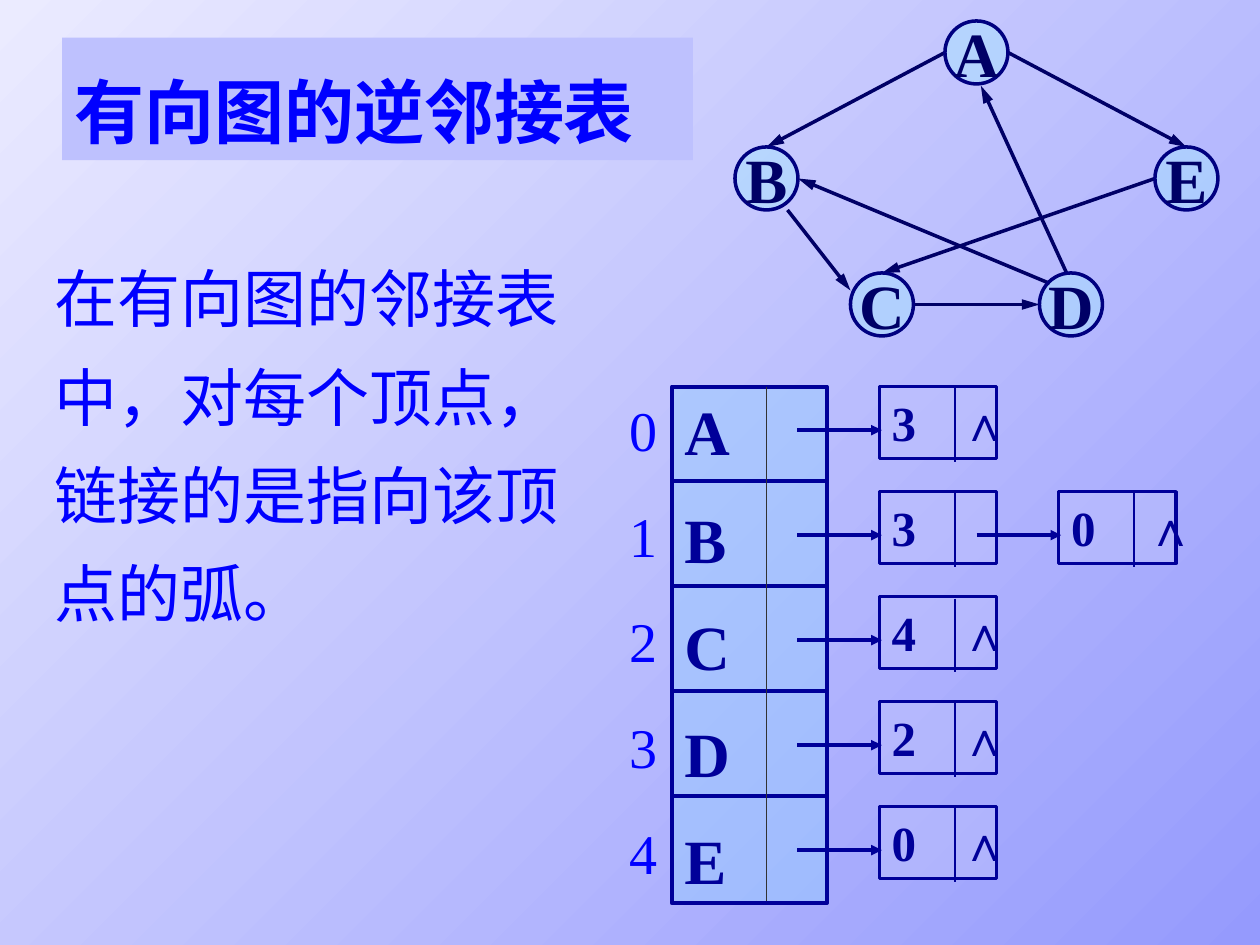
"""Build a slide on the inverse adjacency list of a directed graph."""
from lxml import etree
from pptx import Presentation
from pptx import util as u
from pptx.dml import color
from pptx.enum import shapes, text
from pptx.oxml import ns

SERIF = "Times New Roman"
NAVY, INK, BLUE = "000066", "000099", "0000FF"
LILAC, SKY = "BEC1FE", "99CCFF"
VERTICES = {"A": (540, 12), "B": (420, 84), "E": (660, 84),
            "C": (486, 156), "D": (594, 156)}
ARCS = [(540, 30, 438, 84), (450, 120, 486, 166), (522, 174, 594, 174),
        (609.5, 156, 560.5, 49), (576, 30, 678, 84), (600, 162, 456, 102),
        (660, 102, 504, 156)]
LISTS = [["3"], ["3", "0"], ["4"], ["2"], ["0"]]
TOP, PITCH = 221, 60


def rgb(value):
    """Turn a hex string into a colour."""
    return color.RGBColor.from_string(value)


def sub(parent, tag, **attrs):
    """Append a DrawingML element."""
    return etree.SubElement(parent, ns.qn(tag), **attrs)


def paint(sp, fill, line=None, width=2, clear=False):
    """Set fill and outline, half transparent if asked."""
    sp.shadow.inherit = False
    sp.fill.solid()
    sp.fill.fore_color.rgb = rgb(fill)
    if clear:
        sub(sp.fill._xPr.find(".//" + ns.qn("a:srgbClr")), "a:alpha", val="50000")
    if line:
        sp.line.color.rgb = rgb(line)
        sp.line.width = u.Pt(width)
    else:
        sp.line.fill.background()


def write(sp, lines, size, hue, bold=True, font=SERIF, before=0, spacing=None,
          align=text.PP_ALIGN.LEFT, anchor=text.MSO_ANCHOR.TOP, wrap=True):
    """Write one paragraph per line."""
    tf = sp.text_frame
    tf.word_wrap = wrap
    tf.vertical_anchor = anchor
    for i, line in enumerate(lines):
        p = tf.add_paragraph() if i else tf.paragraphs[0]
        p.text = line
        p.alignment = align
        if i and before:
            p.space_before = u.Pt(before)
        if spacing:
            p.line_spacing = spacing
        p.font.size, p.font.bold, p.font.name = u.Pt(size), bold, font
        p.font.color.rgb = rgb(hue)


def add_box(s, kind, *at):
    """Add a preset shape."""
    return s.shapes.add_shape(kind, *map(u.Pt, at))


def add_text(s, at, lines, size, hue, **style):
    """Add a text box."""
    write(s.shapes.add_textbox(*map(u.Pt, at)), lines, size, hue, **style)


def add_line(s, ends, hue, width=2, head=None):
    """Add a straight line, with an arrowhead of the given length if any."""
    c = s.shapes.add_connector(shapes.MSO_CONNECTOR.STRAIGHT, *map(u.Pt, ends))
    c.line.color.rgb = rgb(hue)
    c.line.width = u.Pt(width)
    if head:
        sub(c.line._get_or_add_ln(), "a:tailEnd", type="triangle", len=head)
    sub(c._element.spPr, "a:effectLst")


def add_graph(s):
    """Draw the arcs and then the vertices."""
    for arc in ARCS:
        add_line(s, arc, NAVY, head="lg")
    for name, (x, y) in VERTICES.items():
        sp = add_box(s, shapes.MSO_SHAPE.OVAL, x, y, 36, 36)
        paint(sp, "A7E2FF", "000080", clear=True)
        write(sp, [name], 36, NAVY, align=text.PP_ALIGN.CENTER,
              anchor=text.MSO_ANCHOR.MIDDLE, wrap=False)


def add_heads(s):
    """Draw the vertex column with its index numbers."""
    sp = add_box(s, shapes.MSO_SHAPE.RECTANGLE, 384, TOP, 88.5, 295)
    paint(sp, SKY, INK, 2.5, clear=True)
    write(sp, sorted(VERTICES), 36, INK, before=18)
    for i in range(1, len(LISTS)):
        y = TOP - 6 + PITCH * i
        add_line(s, (384, y, 474, y), INK, 2.25)
    add_line(s, (438, TOP, 438, 515), "333333", 1)
    add_text(s, (352.5, 222.5, 30, 287), [str(i) for i in range(len(LISTS))],
             32, BLUE, bold=False, before=22, wrap=False)


def add_node(s, x, y, value):
    """Draw a list node with the pointer that leads to it."""
    sp = add_box(s, shapes.MSO_SHAPE.RECTANGLE, x, y, 67, 41)
    paint(sp, LILAC, INK, clear=True)
    write(sp, [value], 28, INK)
    add_line(s, (x + 43.2, y + 1, x + 43.2, y + 43), INK, 1)
    add_line(s, (x - 47, y + 24.8, x + 1.4, y + 24.8), INK, head="med")


def add_list(s, y, values):
    """Draw a chain of nodes closed by the null mark."""
    for col, value in enumerate(values):
        add_node(s, 502.5 + 102.5 * col, y, value)
    add_text(s, (437 + 106.5 * len(values) - 2, y, 24, 41), ["∧"], 28, INK,
             font="Arial", wrap=False)


def main():
    """Build and save the slide."""
    prs = Presentation()
    prs.slide_width, prs.slide_height = u.Pt(720), u.Pt(540)
    s = prs.slides.add_slide(prs.slide_layouts[6])
    fill = s.background.fill
    fill.gradient()
    fill.gradient_angle = 135
    for stop, hue in zip(fill.gradient_stops, ("959AFD", "EBEBFF")):
        stop.color.rgb = rgb(hue)
    add_graph(s)
    title = add_box(s, shapes.MSO_SHAPE.RECTANGLE, 35.5, 21.5, 360.5, 70)
    paint(title, LILAC)
    write(title, ["有向图的逆邻接表"], 40, BLUE, spacing=1.3)
    add_heads(s)
    for row, values in enumerate(LISTS):
        add_list(s, TOP + PITCH * row, values)
    add_text(s, (24, 132, 318, 232), ["在有向图的邻接表中，对每个顶点，链接的是指向该顶点的弧。"],
             36, BLUE, bold=False, spacing=1.3)
    prs.save("out.pptx")


if __name__ == "__main__":
    main()
